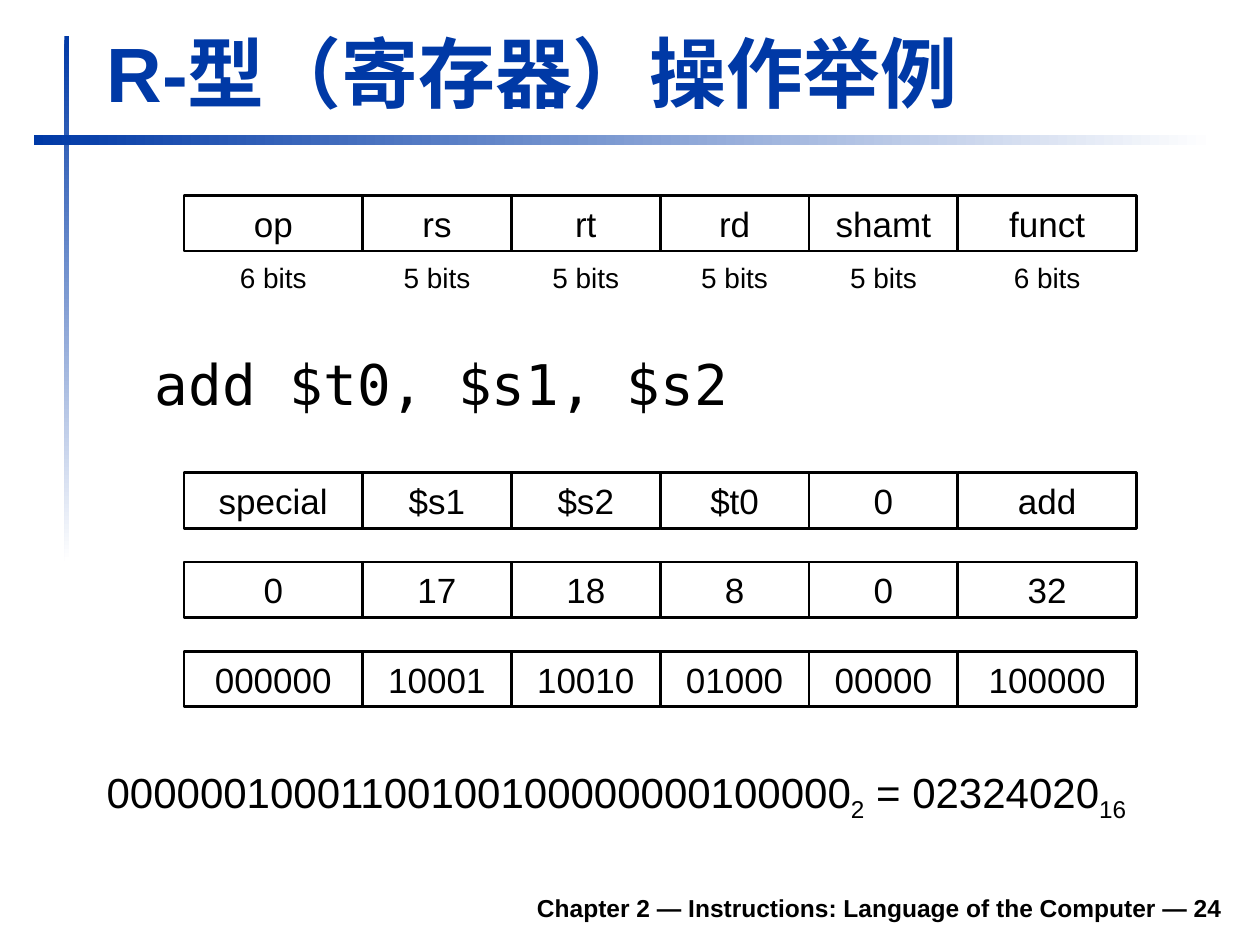
from itertools import accumulate

from pptx import Presentation
from pptx import util as u
from pptx.dml.color import RGBColor
from pptx.enum import shapes, text

BLUE, BLACK, WHITE = "0039A6", "000000", "FFFFFF"

# Field grid, in centimetres
GRID_LEFT = 3.71
FIELD_WIDTHS = [3.6, 3, 3, 3, 3, 3.6]
FIELD_LEFTS = list(accumulate(FIELD_WIDTHS[:-1], initial=GRID_LEFT))
FIELD_HEIGHT = 1.12
HEADER_TOP, BITS_TOP = 3.94, 5.13
EXAMPLE_TOP, EXAMPLE_STEP = 9.53, 1.8

FIELD_NAMES = ["op", "rs", "rt", "rd", "shamt", "funct"]
FIELD_BITS = [6, 5, 5, 5, 5, 6]
EXAMPLE_ROWS = [
    ["special", "$s1", "$s2", "$t0", "0", "add"],
    ["0", "17", "18", "8", "0", "32"],
    ["000000", "10001", "10010", "01000", "00000", "100000"],
]


def color(value):
    return RGBColor.from_string(value)


def box(left, top, width, height):
    return [u.Cm(length) for length in (left, top, width, height)]


def format_font(font, size, hex_color=BLACK, bold=False, name="Arial"):
    font.name = name
    font.size = u.Pt(size)
    font.bold = bold
    font.color.rgb = color(hex_color)


def add_text(container, place, content, size, align=text.PP_ALIGN.LEFT,
             anchor=text.MSO_ANCHOR.TOP, wrap=True, **font_options):
    text_frame = container.add_textbox(*box(*place)).text_frame
    text_frame.word_wrap = wrap
    text_frame.vertical_anchor = anchor
    text_frame.text = content
    paragraph = text_frame.paragraphs[0]
    paragraph.alignment = align
    for run in paragraph.runs:
        format_font(run.font, size, **font_options)
    return text_frame


def add_gradient_bar(container, place, angle):
    shape = container.add_shape(shapes.MSO_SHAPE.RECTANGLE, *box(*place))
    shape.shadow.inherit = False
    shape.line.fill.background()
    shape.fill.gradient()
    shape.fill.gradient_angle = angle
    for stop, hex_color in zip(shape.fill.gradient_stops, (BLUE, WHITE)):
        stop.color.rgb = color(hex_color)


def add_field_row(container, top, values):
    for left, width, value in zip(FIELD_LEFTS, FIELD_WIDTHS, values):
        shape = container.add_shape(shapes.MSO_SHAPE.RECTANGLE,
                                    *box(left, top, width, FIELD_HEIGHT))
        shape.shadow.inherit = False
        shape.fill.background()
        shape.line.color.rgb = color(BLACK)
        shape.line.width = u.Pt(1.5)
        shape.text_frame.text = value
        paragraph = shape.text_frame.paragraphs[0]
        paragraph.alignment = text.PP_ALIGN.CENTER
        format_font(paragraph.runs[0].font, 20)


def add_bit_labels(container):
    label_width = 1.85
    for left, width, bits in zip(FIELD_LEFTS, FIELD_WIDTHS, FIELD_BITS):
        place = (left + (width - label_width) / 2, BITS_TOP, label_width, 0.94)
        add_text(container, place, f"{bits} bits", 16,
                 align=text.PP_ALIGN.CENTER, wrap=False)


def add_equation(container):
    text_frame = add_text(container, (1.9, 15.32, 22.6, 1.4),
                          "00000010001100100100000000100000", 24)
    paragraph = text_frame.paragraphs[0]
    for content, is_base in [("2", True), (" = 02324020", False), ("16", True)]:
        run = paragraph.add_run()
        run.text = content
        format_font(run.font, 24)
        if is_base:
            run.font._element.set("baseline", "-25000")


def main():
    presentation = Presentation()
    presentation.slide_width, presentation.slide_height = u.Cm(25.4), u.Cm(19.05)
    slide = presentation.slides.add_slide(presentation.slide_layouts[6])
    container = slide.shapes

    # Decorative bars, title and footer
    add_gradient_bar(container, (1.3, 0.72, 0.1, 10.6), 270)
    add_gradient_bar(container, (0.69, 2.72, 23.8, 0.2), 0)
    add_text(container, (1.9, 0.38, 22.94, 2.13), "R-型（寄存器）操作举例", 44,
             anchor=text.MSO_ANCHOR.BOTTOM, hex_color=BLUE, bold=True)
    add_text(container, (4.7, 17.73, 20.19, 0.99),
             "Chapter 2 — Instructions: Language of the Computer — 24", 14,
             align=text.PP_ALIGN.RIGHT, anchor=text.MSO_ANCHOR.BOTTOM, bold=True)

    # Instruction format
    format_group = container.add_group_shape()
    add_field_row(format_group.shapes, HEADER_TOP, FIELD_NAMES)
    add_bit_labels(format_group.shapes)

    # Example instruction and its encoding
    code_frame = add_text(container, (1.9, 6.93, 22.96, 1.8),
                          "add $t0, $s1, $s2", 32, name="DejaVu Sans Mono")
    code_frame.margin_left = u.Cm(1.22)
    for index, values in enumerate(EXAMPLE_ROWS):
        add_field_row(container, EXAMPLE_TOP + index * EXAMPLE_STEP, values)
    add_equation(container)

    presentation.save("out.pptx")


if __name__ == "__main__":
    main()
